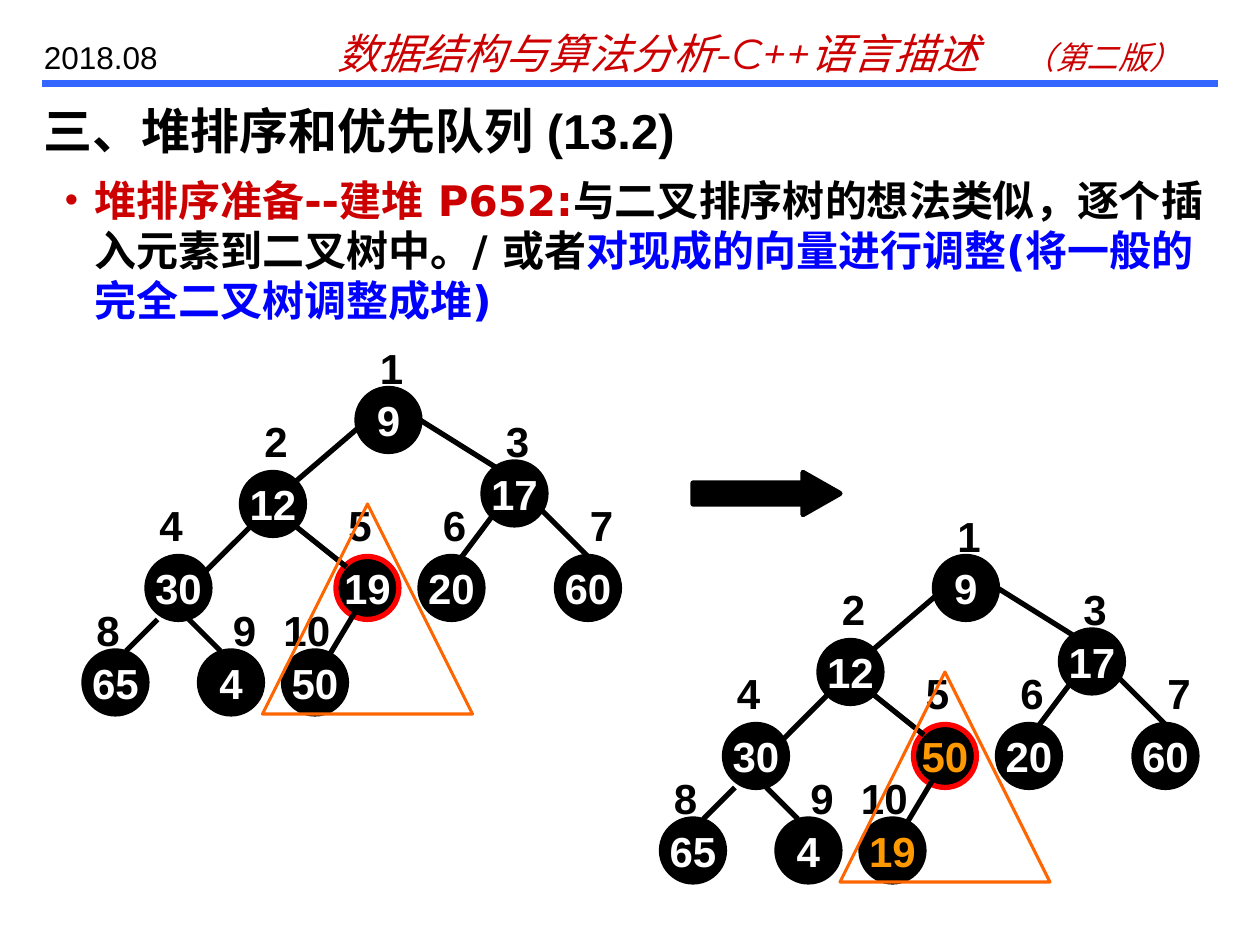
from lxml import etree
from pptx import Presentation
from pptx import util as u
from pptx.dml.color import RGBColor
from pptx.enum import shapes, text
from pptx.oxml.ns import qn

PX = 7620
BLACK, WHITE, RED = "000000", "FFFFFF", "CC0000"
LABEL = {"size": 24, "bold": True}

NODES = {
    1: (340, 370, 350, 320),
    2: (230, 450, 240, 390),
    3: (460, 440, 470, 390),
    4: (140, 530, 140, 470),
    5: (320, 530, 320, 470),
    6: (400, 530, 410, 470),
    7: (530, 530, 550, 470),
    8: (80, 620, 80, 570),
    9: (190, 620, 210, 570),
    10: (270, 620, 270, 570),
}
EDGES = [
    (350, 400, 280, 460),
    (400, 400, 480, 450),
    (240, 500, 190, 550),
    (280, 500, 330, 540),
    (470, 490, 440, 530),
    (510, 480, 560, 530),
    (150, 590, 120, 620),
    (180, 590, 210, 620),
    (340, 580, 310, 630),
]


def px(n):
    return u.Emu(n * PX)


def color(value):
    return RGBColor.from_string(value)


def child(parent, tag, **attrs):
    return etree.SubElement(parent, qn(tag), {k: str(v) for k, v in attrs.items()})


class Deck:
    def __init__(self, prs):
        self.s = prs.slides.add_slide(prs.slide_layouts[6])
        self.target = self.s.shapes

    def run(self, p, words, font="Arial", ink=BLACK, **fmt):
        r = p.add_run()
        r.text = words
        for name, value in {"name": font, **fmt}.items():
            if name == "size":
                value = u.Pt(value)
            setattr(r.font, name, value)
        r.font.color.rgb = color(ink)
        child(r._r.get_or_add_rPr(), "a:ea", typeface=font)

    def text(self, x, y, w, h, side=12):
        sp = self.target.add_textbox(px(x), px(y), px(w), px(h))
        tf = sp.text_frame
        frame = {
            "word_wrap": True,
            "auto_size": text.MSO_AUTO_SIZE.NONE,
            "margin_left": px(side),
            "margin_right": px(side),
            "margin_top": px(6),
            "margin_bottom": px(6),
        }
        for name, value in frame.items():
            setattr(tf, name, value)
        return tf.paragraphs[0]

    def shape(self, kind, x, y, w, h, fill=BLACK, line=BLACK, weight=3):
        sp = self.target.add_shape(kind, px(x), px(y), px(w), px(h))
        sp.shadow.inherit = False
        if fill:
            sp.fill.solid()
            sp.fill.fore_color.rgb = color(fill)
        else:
            sp.fill.background()
        sp.line.color.rgb = color(line)
        sp.line.width = u.Pt(weight)
        return sp

    def line(self, x1, y1, x2, y2, ink=BLACK, weight=3):
        cn = self.target.add_connector(
            shapes.MSO_CONNECTOR.STRAIGHT, px(x1), px(y1), px(x2), px(y2))
        cn.line.color.rgb = color(ink)
        cn.line.width = u.Pt(weight)
        child(cn._element.spPr, "a:effectLst")

    def node(self, x, y, value, ink, ring):
        sp = self.shape(shapes.MSO_SHAPE.OVAL, x, y, 60, 60, line=ring)
        tf = sp.text_frame
        tf.word_wrap = False
        tf.vertical_anchor = text.MSO_ANCHOR.MIDDLE
        p = tf.paragraphs[0]
        p.alignment = text.PP_ALIGN.CENTER
        self.run(p, str(value), ink=ink, **LABEL)

    def tree(self, dx, dy, values, swapped=()):
        self.target = self.s.shapes.add_group_shape().shapes
        for (i, (x, y, _, _)), value in zip(NODES.items(), values):
            ink = "FF9900" if i in swapped else WHITE
            ring = "FF0000" if i == 5 else BLACK
            self.node(x + dx, y + dy, value, ink, ring)
        for x1, y1, x2, y2 in EDGES:
            self.line(x1 + dx, y1 + dy, x2 + dx, y2 + dy)
        for i, (_, _, x, y) in NODES.items():
            p = self.text(x + dx, y + dy, 60, 60, side=0 if i == 10 else 12)
            self.run(p, str(i), **LABEL)
        self.shape(shapes.MSO_SHAPE.ISOSCELES_TRIANGLE, 250 + dx, 480 + dy, 200, 200,
                   fill=None, line="FF6600", weight=1.75)
        self.target = self.s.shapes

    def bullet(self, p, char, ink, percent, indent):
        pPr = p._p.get_or_add_pPr()
        pPr.set("marL", str(px(indent)))
        pPr.set("indent", str(-px(indent)))
        child(child(pPr, "a:buClr"), "a:srgbClr", val=ink)
        child(pPr, "a:buSzPct", val=percent * 1000)
        child(pPr, "a:buFont", typeface="Arial")
        child(pPr, "a:buChar", char=char)

    def tab(self, p, at):
        tabs = child(p._p.get_or_add_pPr(), "a:tabLst")
        child(tabs, "a:tab", pos=px(at), algn="l")


def main():
    prs = Presentation()
    prs.slide_width, prs.slide_height = px(1200), px(900)
    d = Deck(prs)

    d.line(40, 80, 1160, 80, ink="3366FF", weight=4)
    p = d.text(310, 20, 840, 60)
    d.tab(p, 653)
    book = {"font": "Montserrat", "ink": RED, "italic": True}
    d.run(p, "数据结构与算法分析-C++语言描述\t", size=24, **book)
    d.run(p, "（第二版）", size=18, **book)
    d.run(d.text(30, 30, 170, 48), "2018.08", size=18)
    d.run(d.text(30, 90, 1020, 70), "三、堆排序和优先队列 (13.2)", size=28, bold=True)

    p = d.text(50, 160, 1120, 156)
    d.bullet(p, "•", RED, 90, 28)
    for words, ink in [
        ("堆排序准备--建堆 P652:", RED),
        ("与二叉排序树的想法类似，逐个插入元素到二叉树中。/ 或者", BLACK),
        ("对现成的向量进行调整(将一般的完全二叉树调整成堆)", "0000FF"),
    ]:
        d.run(p, words, font="DejaVu Sans", ink=ink, **LABEL)

    d.tree(0, 0, [9, 12, 17, 30, 19, 20, 60, 65, 4, 50])
    d.tree(550, 160, [9, 12, 17, 30, 50, 20, 60, 65, 4, 19], swapped=(5, 10))
    arrow = d.shape(shapes.MSO_SHAPE.RIGHT_ARROW, 660, 450, 140, 40)
    arrow.adjustments[1] = 0.88

    prs.save("out.pptx")


if __name__ == "__main__":
    main()
